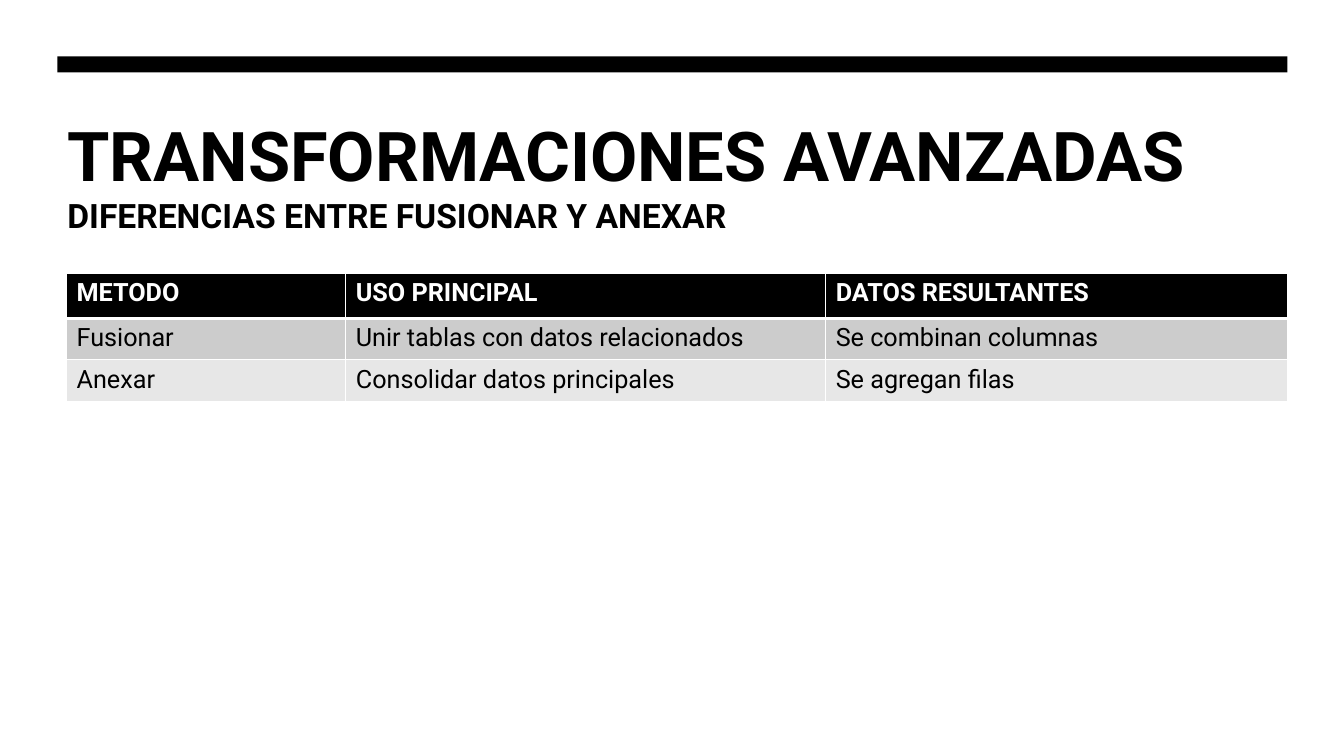
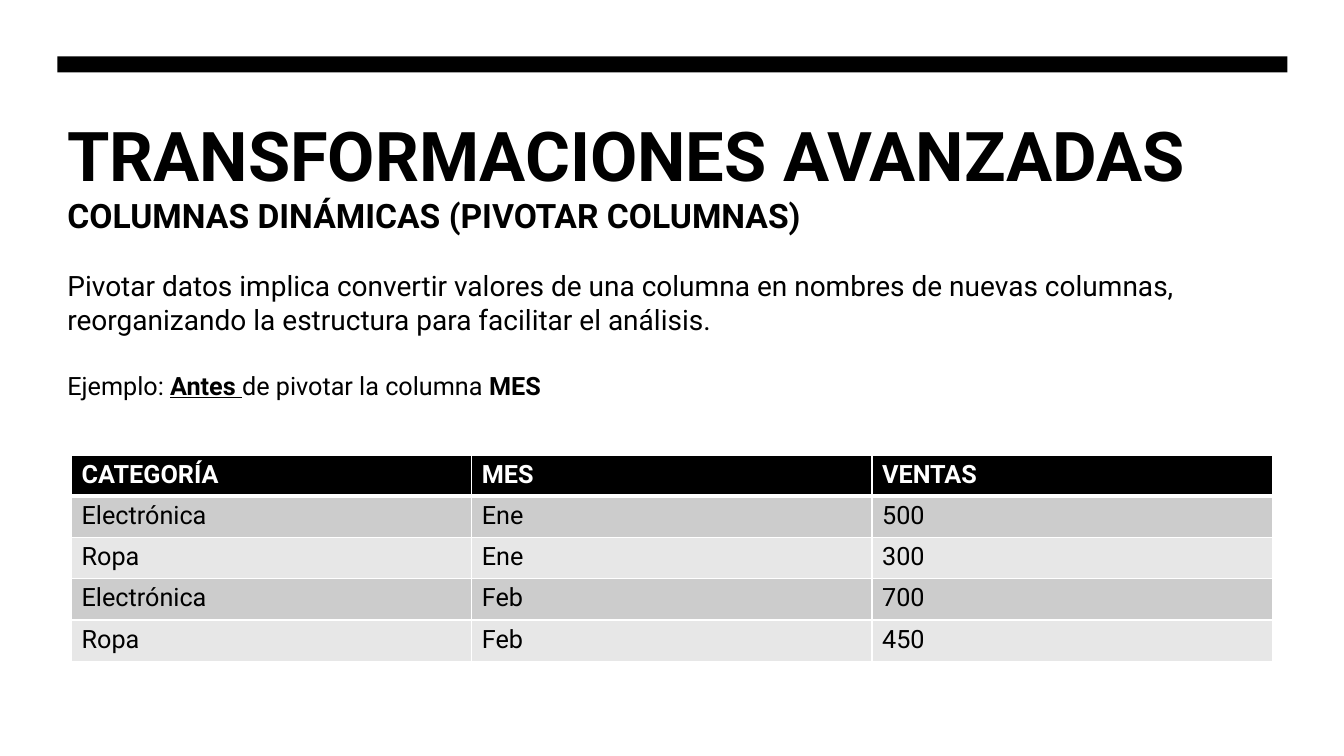
from dataclasses import dataclass

import pptx
import pptx.dml.color
import pptx.enum.shapes
import pptx.enum.text
import pptx.oxml
import pptx.oxml.ns
import pptx.presentation
import pptx.slide
import pptx.table
import pptx.util

Inches = pptx.util.Inches
RGBColor = pptx.dml.color.RGBColor

FONT = "Roboto"
BLACK = RGBColor(0x00, 0x00, 0x00)
WHITE = RGBColor(0xFF, 0xFF, 0xFF)
BANDS = (RGBColor(0xCC, 0xCC, 0xCC), RGBColor(0xE7, 0xE7, 0xE7))

CONTENT_LEFT, CONTENT_WIDTH = 0.57, 12.2
TITLE = "TRANSFORMACIONES AVANZADAS"
TITLE_SIZE, SUBTITLE_SIZE, LEAD_SIZE, BODY_SIZE = 49, 24, 20, 18
PARAGRAPH_GAP = 24.3
BORDER, HEADER_BORDER = 1, 3


@dataclass(frozen=True)
class Span:
    text: str
    size: float = BODY_SIZE
    bold: bool = False
    underline: bool = False
    color: RGBColor = BLACK


@dataclass(frozen=True)
class Grid:
    left: float
    top: float
    columns: tuple[float, ...]
    header_height: float
    row_height: float
    rows: tuple[tuple[str, ...], ...]


@dataclass(frozen=True)
class Topic:
    subtitle: str
    body_height: float
    paragraphs: tuple[tuple[Span, ...], ...]
    grid: Grid


TOPICS = (
    Topic(
        subtitle="DIFERENCIAS ENTRE FUSIONAR Y ANEXAR",
        body_height=1.18,
        paragraphs=(),
        grid=Grid(
            left=0.66, top=2.71, columns=(2.77, 4.76, 4.58),
            header_height=0.45, row_height=0.41,
            rows=(
                ("METODO", "USO PRINCIPAL", "DATOS RESULTANTES"),
                ("Fusionar", "Unir tablas con datos relacionados", "Se combinan columnas"),
                ("Anexar", "Consolidar datos principales", "Se agregan filas"),
            ),
        ),
    ),
    Topic(
        subtitle="COLUMNAS DINÁMICAS (PIVOTAR COLUMNAS)",
        body_height=4.85,
        paragraphs=(
            (Span("Pivotar datos implica convertir valores de una columna en nombres de "
                  "nuevas columnas, reorganizando la estructura para facilitar el análisis.",
                  LEAD_SIZE),),
            (Span("Ejemplo: "), Span("Antes", bold=True, underline=True),
             Span(" ", underline=True), Span("de pivotar la columna "),
             Span("MES", bold=True)),
        ),
        grid=Grid(
            left=0.71, top=4.52, columns=(3.97,) * 3,
            header_height=0.4, row_height=0.41,
            rows=(
                ("CATEGORÍA", "MES", "VENTAS"),
                ("Electrónica", "Ene", "500"),
                ("Ropa", "Ene", "300"),
                ("Electrónica", "Feb", "700"),
                ("Ropa", "Feb", "450"),
            ),
        ),
    ),
)


def write_paragraphs(frame: pptx.text.text.TextFrame,
                     paragraphs: tuple[tuple[Span, ...], ...]) -> None:
    for index, spans in enumerate(paragraphs):
        para = frame.add_paragraph() if index else frame.paragraphs[0]
        if index:
            para.space_before = pptx.util.Pt(PARAGRAPH_GAP)
        for span in spans:
            run = para.add_run()
            run.text = span.text
            run.font.name = FONT
            run.font.size = pptx.util.Pt(span.size)
            run.font.bold = span.bold
            run.font.underline = span.underline
            run.font.color.rgb = span.color


def add_text(page: pptx.slide.Slide, top: float, height: float,
             paragraphs: tuple[tuple[Span, ...], ...]) -> None:
    box = page.shapes.add_textbox(Inches(CONTENT_LEFT), Inches(top),
                                  Inches(CONTENT_WIDTH), Inches(height))
    box.text_frame.word_wrap = True
    box.text_frame.vertical_anchor = pptx.enum.text.MSO_ANCHOR.TOP
    write_paragraphs(box.text_frame, paragraphs)


def add_bar(page: pptx.slide.Slide) -> None:
    bar = page.shapes.add_shape(
        pptx.enum.shapes.MSO_SHAPE.RECTANGLE, Inches(CONTENT_LEFT), Inches(0.56),
        Inches(CONTENT_WIDTH), Inches(0.16))
    bar.shadow.inherit = False
    bar.fill.solid()
    bar.fill.fore_color.rgb = BLACK
    bar.line.fill.background()


def set_borders(cell: pptx.table._Cell, top: float, bottom: float) -> None:
    properties = cell._tc.get_or_add_tcPr()
    widths = {"lnL": BORDER, "lnR": BORDER, "lnT": top, "lnB": bottom}
    for tag, width in widths.items():
        properties.append(pptx.oxml.parse_xml(
            f'<a:{tag} {pptx.oxml.ns.nsdecls("a")} w="{pptx.util.Pt(width)}">'
            f'<a:solidFill><a:srgbClr val="{WHITE}"/></a:solidFill></a:{tag}>'))


def add_grid(page: pptx.slide.Slide, grid: Grid) -> None:
    heights = [grid.header_height] + [grid.row_height] * (len(grid.rows) - 1)
    table = page.shapes.add_table(
        len(grid.rows), len(grid.columns), Inches(grid.left), Inches(grid.top),
        Inches(sum(grid.columns)), Inches(sum(heights))).table
    for column, width in zip(table.columns, grid.columns):
        column.width = Inches(width)
    for index, (texts, height) in enumerate(zip(grid.rows, heights)):
        table.rows[index].height = Inches(height)
        header = index == 0
        for cell, text in zip(table.rows[index].cells, texts):
            set_borders(cell, top=HEADER_BORDER if index == 1 else BORDER,
                        bottom=HEADER_BORDER if header else BORDER)
            cell.fill.solid()
            cell.fill.fore_color.rgb = BLACK if header else BANDS[(index - 1) % len(BANDS)]
            span = Span(text, bold=header, color=WHITE if header else BLACK)
            write_paragraphs(cell.text_frame, ((span,),))


def add_topic(deck: pptx.presentation.Presentation, topic: Topic) -> None:
    page = deck.slides.add_slide(deck.slide_layouts[6])
    add_bar(page)
    add_text(page, 1.07, 0.82, ((Span(TITLE, TITLE_SIZE, bold=True),),))
    subtitle = (Span(topic.subtitle, SUBTITLE_SIZE, bold=True),)
    add_text(page, 1.88, topic.body_height, (subtitle, *topic.paragraphs))
    add_grid(page, topic.grid)


def main() -> None:
    deck = pptx.Presentation()
    deck.slide_width, deck.slide_height = Inches(13.33), Inches(7.5)
    for topic in TOPICS:
        add_topic(deck, topic)
    deck.save("out.pptx")


if __name__ == "__main__":
    main()
